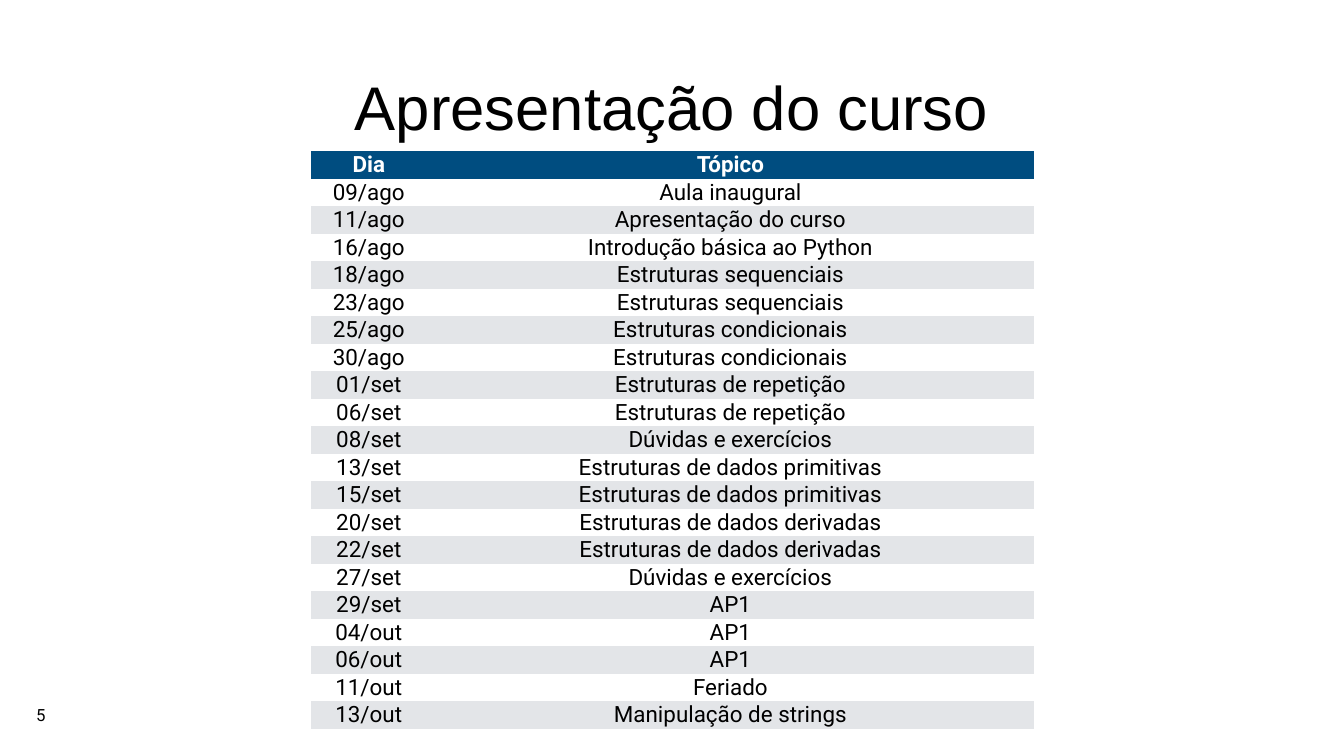
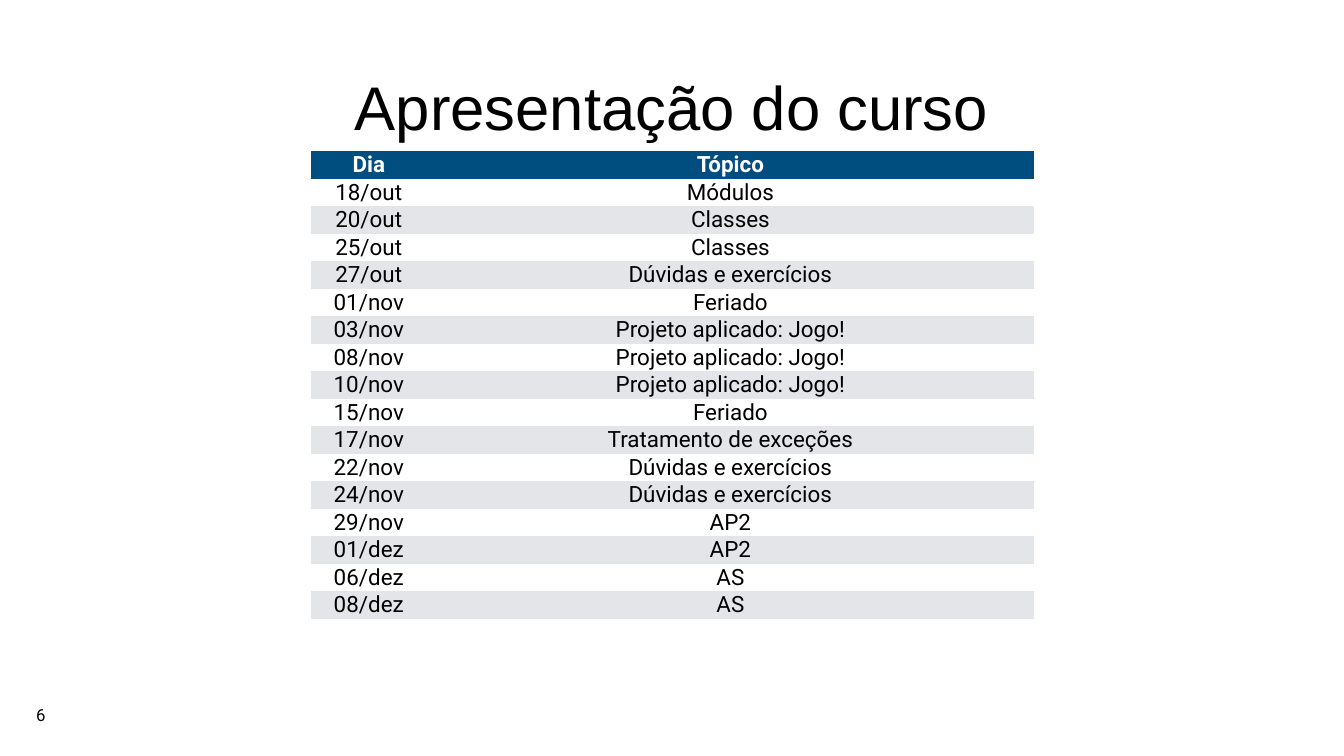
from pptx import Presentation
from pptx.dml.color import RGBColor
from pptx.enum.text import MSO_ANCHOR, MSO_AUTO_SIZE, PP_ALIGN
from pptx.util import Cm, Pt

CENTER = PP_ALIGN.CENTER
TOP, MIDDLE = MSO_ANCHOR.TOP, MSO_ANCHOR.MIDDLE
FIT_SHAPE, NO_FIT = MSO_AUTO_SIZE.SHAPE_TO_FIT_TEXT, MSO_AUTO_SIZE.NONE

WHITE, BLACK = "FFFFFF", "000000"
HEADER_BLUE, BAND_GREY = "004D80", "E3E5E8"
TITLE_FONT, BODY_FONT = "Arial", "Roboto"
PLAIN_TABLE_STYLE = "{2D5ABB26-0587-4C30-8999-92F81FD0307C}"

COLUMN_WIDTHS = (Cm(5.87), Cm(30.58))
ROW_HEIGHT = Cm(1.38)
BOX_INSET, CELL_INSET = Cm(0.15), Cm(0.03)

COURSE_TITLE = "Apresentação do curso"
HEADINGS = ("Dia", "Tópico")
FIRST_PAGE = 5
SCHEDULES = (
    (
        ("09/ago", "Aula inaugural"),
        ("11/ago", "Apresentação do curso"),
        ("16/ago", "Introdução básica ao Python"),
        ("18/ago", "Estruturas sequenciais"),
        ("23/ago", "Estruturas sequenciais"),
        ("25/ago", "Estruturas condicionais"),
        ("30/ago", "Estruturas condicionais"),
        ("01/set", "Estruturas de repetição"),
        ("06/set", "Estruturas de repetição"),
        ("08/set", "Dúvidas e exercícios"),
        ("13/set", "Estruturas de dados primitivas"),
        ("15/set", "Estruturas de dados primitivas"),
        ("20/set", "Estruturas de dados derivadas"),
        ("22/set", "Estruturas de dados derivadas"),
        ("27/set", "Dúvidas e exercícios"),
        ("29/set", "AP1"),
        ("04/out", "AP1"),
        ("06/out", "AP1"),
        ("11/out", "Feriado"),
        ("13/out", "Manipulação de strings"),
    ),
    (
        ("18/out", "Módulos"),
        ("20/out", "Classes"),
        ("25/out", "Classes"),
        ("27/out", "Dúvidas e exercícios"),
        ("01/nov", "Feriado"),
        ("03/nov", "Projeto aplicado: Jogo!"),
        ("08/nov", "Projeto aplicado: Jogo!"),
        ("10/nov", "Projeto aplicado: Jogo!"),
        ("15/nov", "Feriado"),
        ("17/nov", "Tratamento de exceções"),
        ("22/nov", "Dúvidas e exercícios"),
        ("24/nov", "Dúvidas e exercícios"),
        ("29/nov", "AP2"),
        ("01/dez", "AP2"),
        ("06/dez", "AS"),
        ("08/dez", "AS"),
    ),
)


def rgb(hex_color):
    return RGBColor.from_string(hex_color)


def write(frame, text, *, size, font=BODY_FONT, color=BLACK, bold=False):
    """Put one centred, formatted line of text in a text frame."""
    paragraph = frame.paragraphs[0]
    paragraph.alignment = CENTER
    run = paragraph.add_run()
    run.text = text
    run.font.name = font
    run.font.size = Pt(size)
    run.font.bold = bold
    run.font.color.rgb = rgb(color)


def set_insets(holder, left, top, right, bottom):
    holder.margin_left, holder.margin_top = left, top
    holder.margin_right, holder.margin_bottom = right, bottom


def set_frame(frame, anchor, wrap, fit):
    set_insets(frame, *[BOX_INSET] * 4)
    frame.vertical_anchor = anchor
    frame.word_wrap = wrap
    frame.auto_size = fit


def add_title(slide, text):
    title = slide.shapes.title
    title.left, title.top = Cm(2.01), Cm(2.74)
    title.width, title.height = Cm(63.65), Cm(5.21)
    set_frame(title.text_frame, MIDDLE, True, NO_FIT)
    write(title.text_frame, text, size=88, font=TITLE_FONT)


def add_page_number(slide, number):
    box = slide.shapes.add_textbox(Cm(1.42), Cm(35.36), Cm(1.27), Cm(1.27))
    set_frame(box.text_frame, TOP, False, FIT_SHAPE)
    write(box.text_frame, str(number), size=24)


def fill_cell(cell, text, fill, **text_format):
    cell.fill.solid()
    cell.fill.fore_color.rgb = rgb(fill)
    cell.vertical_anchor = MIDDLE
    set_insets(cell, CELL_INSET, CELL_INSET, CELL_INSET, 0)
    write(cell.text_frame, text, size=32, **text_format)


def add_schedule(slide, lessons):
    rows = (HEADINGS, *lessons)
    table = slide.shapes.add_table(
        len(rows), len(HEADINGS), Cm(15.65), Cm(7.62),
        sum(COLUMN_WIDTHS), ROW_HEIGHT * len(rows),
    ).table
    table._tbl.tblPr[0].text = PLAIN_TABLE_STYLE
    for column, width in zip(table.columns, COLUMN_WIDTHS):
        column.width = width
    for index, (row, texts) in enumerate(zip(table.rows, rows)):
        row.height = ROW_HEIGHT
        for cell, text in zip(row.cells, texts):
            if index == 0:
                fill_cell(cell, text, HEADER_BLUE, color=WHITE, bold=True)
            else:
                fill_cell(cell, text, WHITE if index % 2 else BAND_GREY)


def main():
    deck = Presentation()
    deck.slide_width, deck.slide_height = Cm(67.73), Cm(38.1)
    title_only = deck.slide_layouts[5]
    for page, lessons in enumerate(SCHEDULES, FIRST_PAGE):
        slide = deck.slides.add_slide(title_only)
        add_title(slide, COURSE_TITLE)
        add_page_number(slide, page)
        add_schedule(slide, lessons)
    deck.save("out.pptx")


if __name__ == "__main__":
    main()
